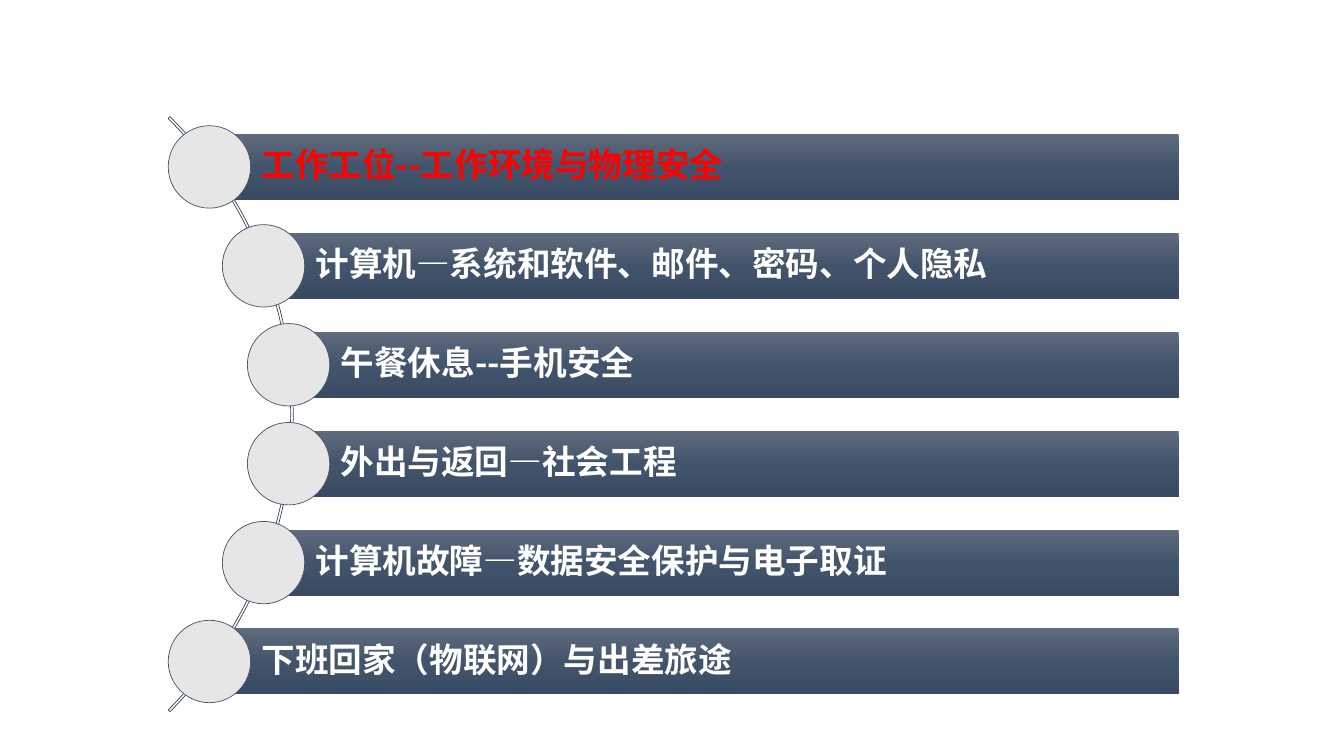
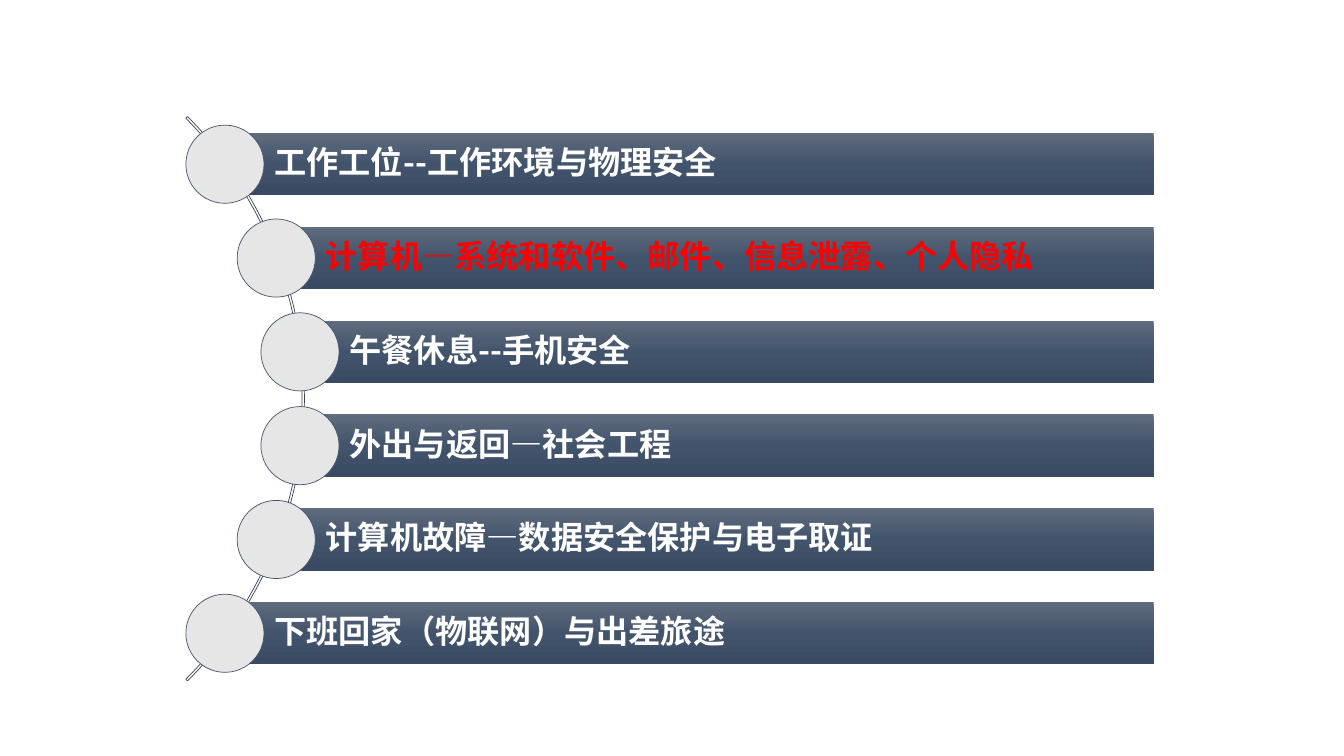
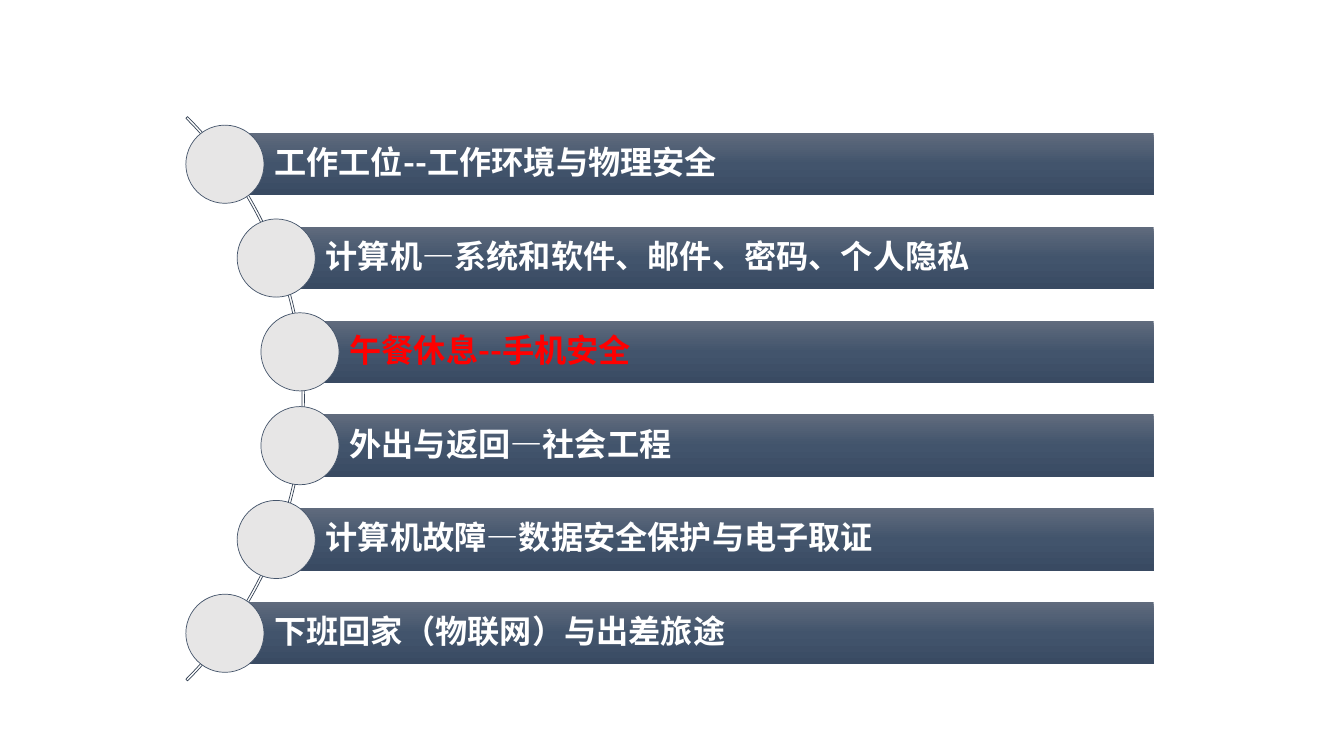
from copy import deepcopy
from dataclasses import dataclass

from lxml import etree
from pptx import Presentation
from pptx.dml.color import RGBColor
from pptx.enum.lang import MSO_LANGUAGE_ID
from pptx.enum.shapes import MSO_SHAPE
from pptx.enum.text import MSO_ANCHOR, PP_ALIGN
from pptx.oxml.ns import qn
from pptx.shapes.autoshape import Shape
from pptx.slide import Slide
from pptx.util import Pt

ARC = MSO_SHAPE.BLOCK_ARC
RECT = MSO_SHAPE.RECTANGLE
OVAL = MSO_SHAPE.OVAL
MIDDLE = MSO_ANCHOR.MIDDLE
LEFT = PP_ALIGN.LEFT
CHINESE = MSO_LANGUAGE_ID.SIMPLIFIED_CHINESE


@dataclass(frozen=True)
class Theme:
    font: str = "Noto Sans CJK SC"
    text: str = "FFFFFF"
    active: str = "FF0000"
    dot: str = "E7E6E6"
    ring: str = "44546A"
    curve: str = "364355"
    shades: tuple[str, ...] = ("606B7D", "42546C", "394A62")
    line: float = 0.5
    large: int = 24
    small: int = 23


@dataclass(frozen=True)
class Frame:
    left: float
    top: float
    right: float
    bar: float
    size: int


@dataclass(frozen=True)
class Page:
    frame: Frame
    topics: tuple[str, ...]
    active: int


THEME = Theme()
LARGE = Frame(149.6, 95.7, 842, 47.1, THEME.large)
SMALL = Frame(160.7, 95, 824, 44.67, THEME.small)

SHIFTS = (0, 0.82, 1.2, 1.2, 0.82, 0)
STEP = 1.5
DOT = 1.25
CURVE = 12.76
REACH = 11.49
INDENT = 0.79
PAD = 0.2

TOPICS = (
    "工作工位--工作环境与物理安全",
    "计算机—系统和软件、邮件、密码、个人隐私",
    "午餐休息--手机安全",
    "外出与返回—社会工程",
    "计算机故障—数据安全保护与电子取证",
    "下班回家（物联网）与出差旅途",
)
LEAKS = (TOPICS[0], TOPICS[1].replace("密码", "信息泄露"), *TOPICS[2:])
PAGES = (
    Page(LARGE, TOPICS, 0),
    Page(SMALL, LEAKS, 1),
    Page(SMALL, TOPICS, 2),
)


def add_form(slide: Slide, kind: MSO_SHAPE, left: float, top: float,
             width: float, height: float, line: str | None = None) -> Shape:
    form = slide.shapes.add_shape(kind, Pt(left), Pt(top), Pt(width), Pt(height))
    form.shadow.inherit = False
    if line:
        form.line.color.rgb = RGBColor.from_string(line)
        form.line.width = Pt(THEME.line)
    else:
        form.line.fill.background()
    return form


def shade(form: Shape, colors: tuple[str, ...]) -> None:
    fill = form.fill
    fill.gradient()
    fill.gradient_angle = 270
    stops = form._element.spPr.find(".//" + qn("a:gsLst"))
    while len(stops) < len(colors):
        stops.insert(1, deepcopy(stops[0]))
    for index, (stop, color) in enumerate(zip(fill.gradient_stops, colors)):
        stop.position = index / (len(colors) - 1)
        stop.color.rgb = RGBColor.from_string(color)


def write(form: Shape, text: str, *, size: int, color: str,
          indent: float, bold: bool = True) -> None:
    frame = form.text_frame
    frame.word_wrap = True
    frame.vertical_anchor = MIDDLE
    frame.margin_left = Pt(indent)
    frame.margin_top = frame.margin_right = frame.margin_bottom = Pt(PAD * size)
    para = frame.paragraphs[0]
    para.alignment = LEFT
    para.line_spacing = 0.9
    run = para.add_run()
    run.text = text
    font = run.font
    font.name = THEME.font
    font.size = Pt(size)
    font.bold = bold
    font.language_id = CHINESE
    font.color.rgb = RGBColor.from_string(color)
    etree.SubElement(run._r.get_or_add_rPr(), qn("a:ea"), typeface=THEME.font)


def add_curve(slide: Slide, frame: Frame) -> None:
    side = CURVE * frame.bar
    span = (STEP * (len(SHIFTS) - 1) + 1) * frame.bar
    top = frame.top + (span - side) / 2
    curve = add_form(slide, ARC, frame.left - REACH * frame.bar, top,
                     side, side, THEME.curve)
    curve.fill.background()
    for index, value in enumerate((189, 27, 0.003)):
        curve.adjustments[index] = value


def add_topic(slide: Slide, frame: Frame, row: int, text: str, color: str) -> None:
    bar = frame.bar
    left = frame.left + SHIFTS[row] * bar
    top = frame.top + row * STEP * bar
    band = add_form(slide, RECT, left, top, frame.right - left, bar)
    shade(band, THEME.shades)
    write(band, text, size=frame.size, color=color, indent=INDENT * bar)
    side = DOT * bar
    dot = add_form(slide, OVAL, left - side / 2, top + (bar - side) / 2,
                   side, side, THEME.ring)
    dot.fill.solid()
    dot.fill.fore_color.rgb = RGBColor.from_string(THEME.dot)


def main() -> None:
    deck = Presentation()
    deck.slide_width, deck.slide_height = Pt(960), Pt(540)
    blank = deck.slide_layouts[6]
    for page in PAGES:
        slide = deck.slides.add_slide(blank)
        add_curve(slide, page.frame)
        for row, text in enumerate(page.topics):
            color = THEME.active if row == page.active else THEME.text
            add_topic(slide, page.frame, row, text, color)
    deck.save("out.pptx")


if __name__ == "__main__":
    main()
